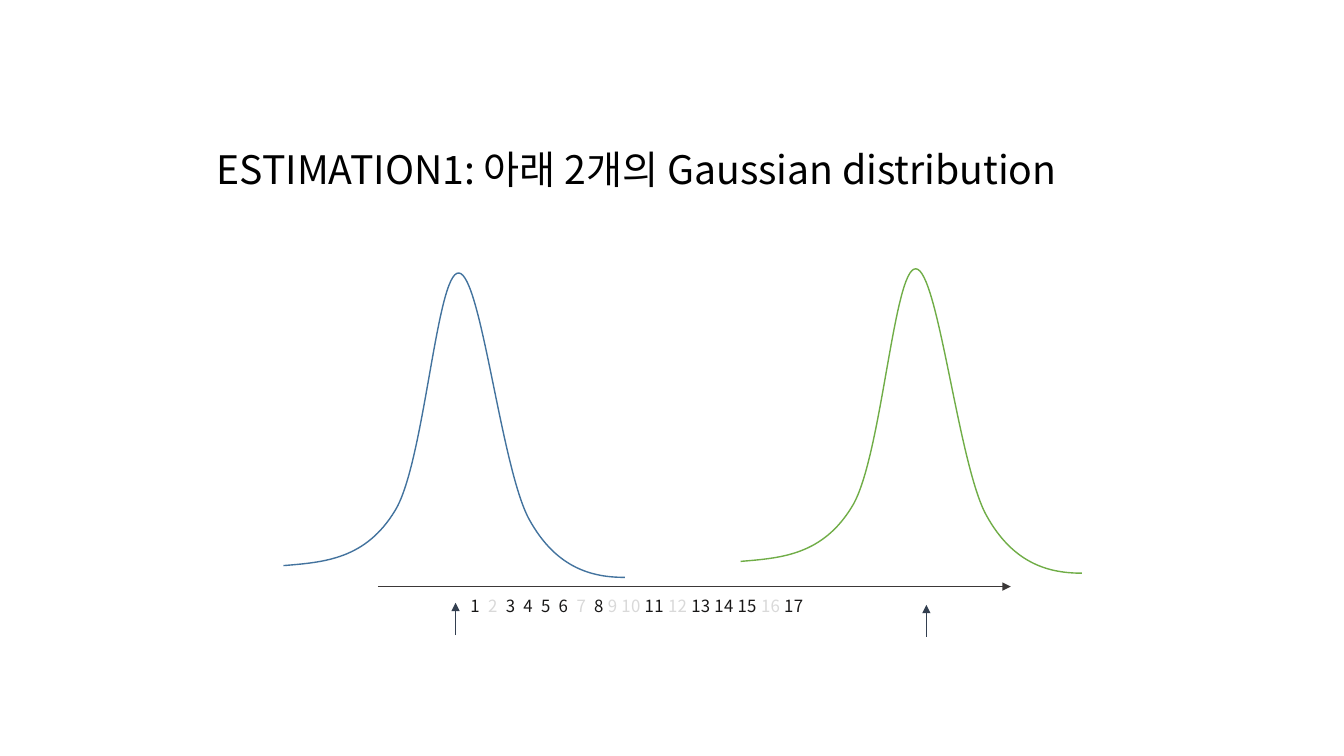
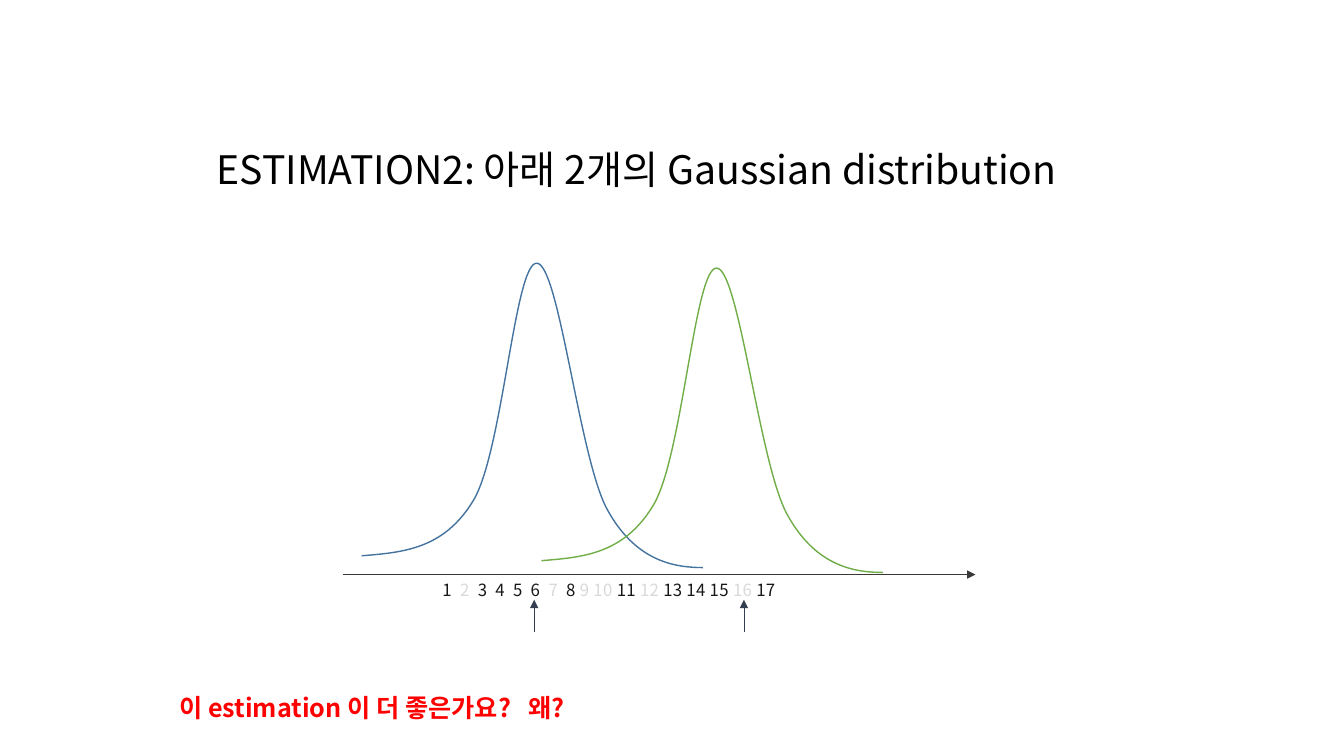
from pptx import Presentation
from pptx.dml.color import RGBColor
from pptx.enum.shapes import MSO_CONNECTOR as Connector
from pptx.enum.text import MSO_ANCHOR as Anchor, MSO_AUTO_SIZE as AutoSize, PP_ALIGN as Align
from pptx.oxml.ns import qn
from pptx.util import Pt
from lxml.etree import SubElement

FONT = "Noto Sans CJK KR"
COLORS = {
    "title": "000000",
    "shown": "181717",
    "faded": "D9D9D9",
    "question": "FF0000",
    "first": "43739E",
    "second": "70AD47",
    "marker": "333F50",
    "axis": "3B3838",
}
# Start point, then three Bezier points per segment, from the curve's left and peak.
BELL = [
    (0, 209), (29.3, 206.6), (58.7, 204.5), (79.8, 169.5), (100.8, 135),
    (109.4, -1), (125.2, 0), (141.1, 0.7), (155.5, 139.6), (175.5, 176),
    (195.3, 212), (222, 217.4), (243.8, 217.4),
]
SAMPLES = [
    ("1  ", "shown"), ("2", "faded"), ("  3  4  5  6  ", "shown"), ("7", "faded"),
    ("  8 ", "shown"), ("9 10", "faded"), (" 11 ", "shown"), ("12 ", "faded"),
    ("13 14 15 ", "shown"), ("16", "faded"), (" 17", "shown"),
]
AXIS_LENGTH = 452
MARKER_HEIGHT = 23


def rgb(name):
    return RGBColor.from_string(COLORS[name])


def style_run(run, size, color, bold=False):
    run.font.size = Pt(size)
    run.font.name = FONT
    run.font.bold = bold
    run.font.color.rgb = rgb(color)
    SubElement(run.font._element, qn("a:ea"), typeface=FONT)


def set_title(slide, text):
    title = slide.shapes.title
    title.left, title.top, title.width, title.height = Pt(147.6), Pt(103.7), Pt(625.7), Pt(41)
    frame = title.text_frame
    frame.text = text
    frame.word_wrap = True
    frame.auto_size = AutoSize.NONE
    frame.vertical_anchor = Anchor.TOP
    paragraph = frame.paragraphs[0]
    paragraph.alignment = Align.LEFT
    paragraph.line_spacing = 0.9
    style_run(paragraph.runs[0], 28, "title")


def add_label(slide, left, top, width, height, wrap):
    """Add an empty text box and return its paragraph."""
    frame = slide.shapes.add_textbox(Pt(left), Pt(top), Pt(width), Pt(height)).text_frame
    frame.word_wrap = wrap
    frame.auto_size = AutoSize.SHAPE_TO_FIT_TEXT
    return frame.paragraphs[0]


def add_samples(slide, left, top):
    paragraph = add_label(slide, left, top, 363, 21.6, True)
    for text, color in SAMPLES:
        run = paragraph.add_run()
        run.text = text
        style_run(run, 12, color)
        run.font._element.set("spc", "20")


def add_question(slide, text):
    paragraph = add_label(slide, 121, 491, 312.5, 28.8, False)
    paragraph.text = text
    style_run(paragraph.runs[0], 18, "question", bold=True)


def add_bell(slide, left, peak, color):
    """Draw the bell outline, turning each three straight segments into one Bezier."""
    points = [(Pt(left + x), Pt(peak + y)) for x, y in BELL]
    builder = slide.shapes.build_freeform(*points[0])
    builder.add_line_segments(points[1:], close=False)
    bell = builder.convert_to_shape()
    segments = bell._element.xpath(".//a:lnTo")
    outline = segments[0].getparent()
    for start in range(0, len(segments), 3):
        curve = SubElement(outline, qn("a:cubicBezTo"))
        for segment in segments[start:start + 3]:
            curve.append(segment[0])
            outline.remove(segment)
    bell.shadow.inherit = False
    bell.fill.background()
    bell.line.color.rgb = rgb(color)
    bell.line.width = Pt(1)


def add_arrow(slide, x1, y1, x2, y2, color):
    arrow = slide.shapes.add_connector(
        Connector.STRAIGHT, Pt(x1), Pt(y1), Pt(x2), Pt(y2))
    arrow.line.color.rgb = rgb(color)
    arrow.line.width = Pt(0.5)
    SubElement(arrow.line._get_or_add_ln(), qn("a:tailEnd"), type="triangle")
    SubElement(arrow._element.spPr, qn("a:effectLst"))


def add_estimation(deck, title, bells, axis, markers, samples):
    """Build one slide; each position is a (left, top) pair."""
    slide = deck.slides.add_slide(deck.slide_layouts[5])
    for (left, peak), color in zip(bells, ("first", "second")):
        add_bell(slide, left, peak, color)
    for x, tip in markers:
        add_arrow(slide, x, tip + MARKER_HEIGHT, x, tip, "marker")
    x, y = axis
    add_arrow(slide, x, y, x + AXIS_LENGTH, y, "axis")
    add_samples(slide, *samples)
    set_title(slide, title)
    return slide


def main():
    deck = Presentation()
    deck.slide_width, deck.slide_height = Pt(960), Pt(540)
    add_estimation(
        deck, "ESTIMATION1: 아래 2개의 Gaussian distribution",
        bells=[(202.5, 195), (529, 192)], axis=(270, 419),
        markers=[(325.4, 430.6), (661.7, 432)], samples=(329, 422))
    overlapping = add_estimation(
        deck, "ESTIMATION2: 아래 2개의 Gaussian distribution",
        bells=[(258.3, 188), (386.8, 191.5)], axis=(244.8, 410.4),
        markers=[(381.6, 428.4), (531.4, 428.4)], samples=(309, 410.4))
    add_question(overlapping, "이 estimation 이 더 좋은가요?   왜?")
    deck.save("out.pptx")


if __name__ == "__main__":
    main()
